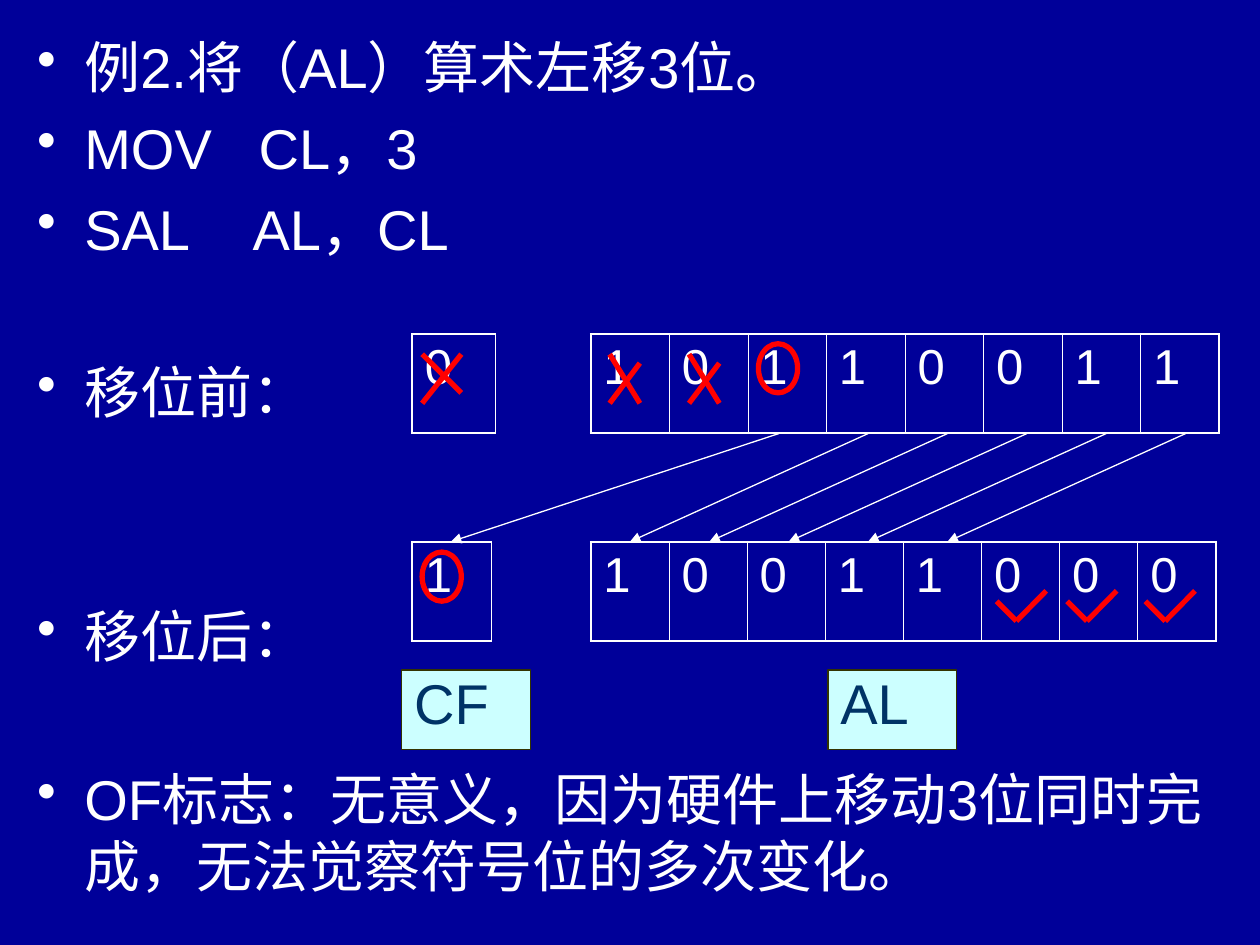
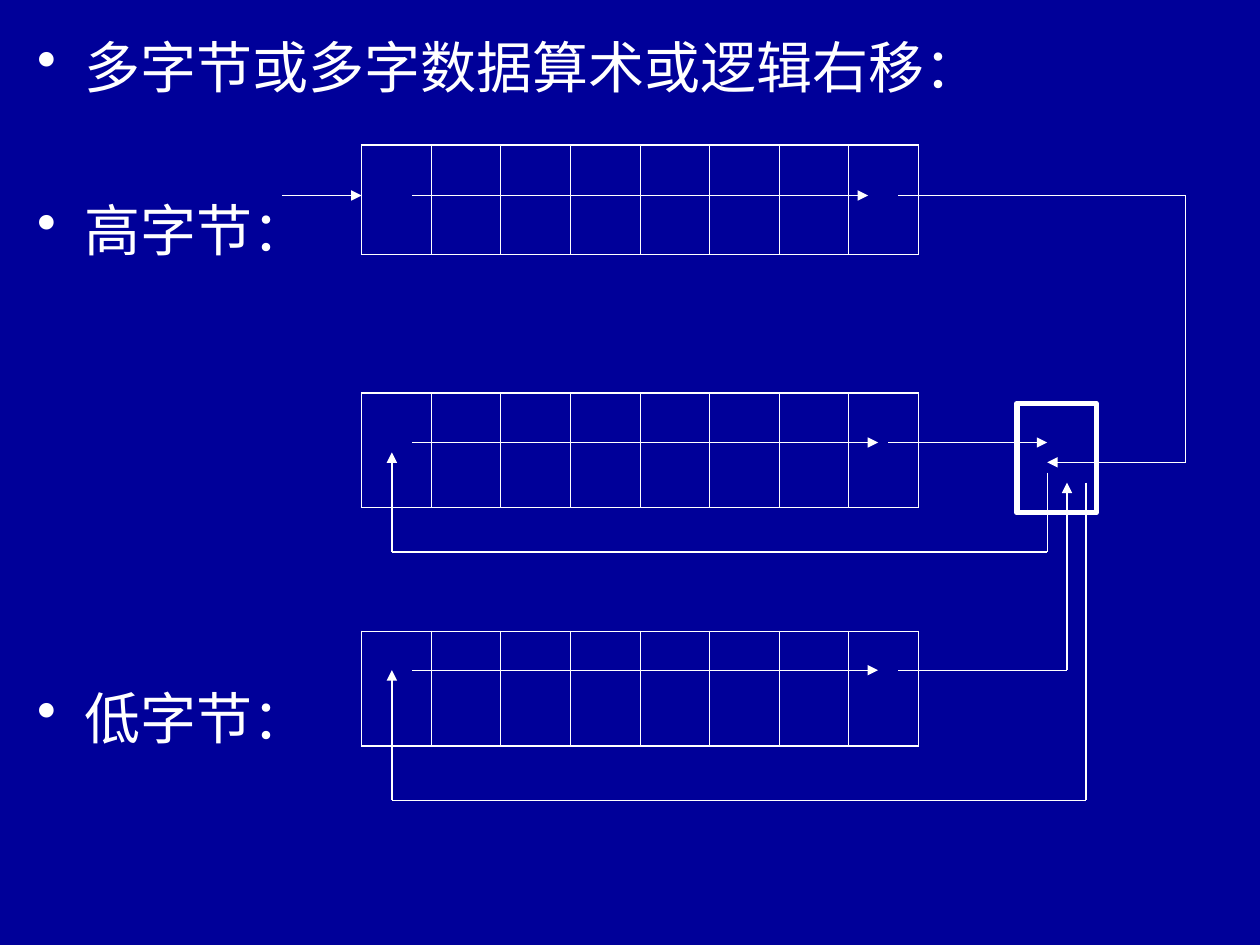
import pptx
import pptx.dml.color
import pptx.enum.shapes
import pptx.enum.text
import pptx.oxml
import pptx.oxml.ns
import pptx.util

Cm = pptx.util.Cm
Pt = pptx.util.Pt
RGBColor = pptx.dml.color.RGBColor
SHAPE = pptx.enum.shapes.MSO_SHAPE

NAVY = RGBColor(0x00, 0x00, 0x99)
WHITE = RGBColor(0xFF, 0xFF, 0xFF)
RED = RGBColor(0xFF, 0x00, 0x00)
PALE_CYAN = RGBColor(0xCC, 0xFF, 0xFF)
OLIVE = RGBColor(0x33, 0x33, 0x00)
TEAL = RGBColor(0x00, 0x33, 0x66)

BODY = {"size": Pt(32), "name": "Arial"}
BIT = {"size": Pt(28), "name": "Arial"}
THIN, EDGE = 0.45, 1.08
BLANK_LINE = 46.5
SPACE_WIDTH = 8.9


def xml(tag, inner="", **attrs):
    """Return a drawing element with the given attributes and inner markup."""
    text = "".join(f' {name}="{value}"' for name, value in attrs.items())
    ns = pptx.oxml.ns.nsdecls("a")
    return pptx.oxml.parse_xml(f"<a:{tag} {ns}{text}>{inner}</a:{tag}>")


class Deck:
    """Hold the shared style and the slide being drawn."""

    def __init__(self):
        """Start an empty 4:3 presentation."""
        self.prs = pptx.Presentation()
        self.prs.slide_width, self.prs.slide_height = Cm(25.4), Cm(19.05)
        self.s = None

    def slide(self):
        """Add a blank slide with the navy background."""
        self.s = self.prs.slides.add_slide(self.prs.slide_layouts[6])
        fill = self.s.background.fill
        fill.solid()
        fill.fore_color.rgb = NAVY

    def run(self, p, text, style, color=WHITE):
        """Add a run in the given style and colour."""
        r = p.add_run()
        r.text = text
        for name, value in style.items():
            setattr(r.font, name, value)
        r.font.color.rgb = color
        return r

    def bullets(self, items):
        """Write bullets of text, blank lines above and width of the first space."""
        tf = self.s.shapes.add_textbox(Cm(0.5), Cm(0.53), Cm(24.41), Cm(18)).text_frame
        tf.word_wrap = True
        for i, (text, lines_above, spaces) in enumerate(items):
            p = tf.paragraphs[0] if i == 0 else tf.add_paragraph()
            p.space_before = Pt(8 + BLANK_LINE * lines_above)
            pPr = p._p.get_or_add_pPr()
            pPr.set("marL", str(Cm(0.95)))
            pPr.set("indent", str(-Cm(0.95)))
            pPr.append(xml("buClr", f'<a:srgbClr val="{WHITE}"/>'))
            pPr.append(xml("buChar", char="•"))
            if spaces:
                first, gap, text = text.partition(" ")
                self.run(p, first, BODY)
                r = self.run(p, gap, BODY)
                r.font._element.set("spc", str(round((spaces - 1) * SPACE_WIDTH * 100)))
            self.run(p, text, BODY)

    def register(self, x, y, w, h, bits):
        """Draw a one-row table with one cell for each bit."""
        count = len(bits)
        table = self.s.shapes.add_table(1, count, Cm(x), Cm(y), Cm(w), Cm(h)).table
        table.first_row = table.horz_banding = False
        for i, bit in enumerate(bits):
            table.columns[i].width = Cm(w / count)
            cell = table.cell(0, i)
            cell.fill.background()
            widths = {"lnL": EDGE if i == 0 else THIN,
                      "lnR": EDGE if i == count - 1 else THIN,
                      "lnT": EDGE, "lnB": EDGE}
            tcPr = cell._tc.get_or_add_tcPr()
            for k, (side, width) in enumerate(widths.items()):
                color = f'<a:solidFill><a:srgbClr val="{WHITE}"/></a:solidFill>'
                tcPr.insert(k, xml(side, color, w=Pt(width)))
            if bit.strip():
                p = cell.text_frame.paragraphs[0]
                p.space_before = Pt(7)
                self.run(p, bit, BIT)

    def shape(self, kind, x, y, w, h, line, width, fill=None):
        """Draw a preset shape, hollow unless a fill is given."""
        sp = self.s.shapes.add_shape(kind, Cm(x), Cm(y), Cm(w), Cm(h))
        sp.shadow.inherit = False
        sp.line.color.rgb, sp.line.width = line, Pt(width)
        if fill is None:
            sp.fill.background()
        else:
            sp.fill.solid()
            sp.fill.fore_color.rgb = fill
        return sp

    def label(self, text, x, y):
        """Draw a register name on a pale box."""
        sp = self.shape(SHAPE.RECTANGLE, x, y, 2.59, 1.6, OLIVE, 0.75, PALE_CYAN)
        tf = sp.text_frame
        tf.vertical_anchor = pptx.enum.text.MSO_ANCHOR.TOP
        p = tf.paragraphs[0]
        p.alignment, p.line_spacing = pptx.enum.text.PP_ALIGN.LEFT, 0.9
        self.run(p, text, BODY, TEAL)

    def route(self, *points, color=WHITE, width=0.75, arrow=True):
        """Join points with straight lines, with an arrowhead on the last one."""
        kind = pptx.enum.shapes.MSO_CONNECTOR.STRAIGHT
        for start, end in zip(points, points[1:]):
            c = self.s.shapes.add_connector(kind, *map(Cm, start + end))
            c.line.color.rgb, c.line.width = color, Pt(width)
            c._element.spPr.append(xml("effectLst"))
        if arrow:
            c.line._get_or_add_ln().append(xml("tailEnd", type="triangle"))

    def mark(self, *points):
        """Draw a red pen stroke through the points."""
        self.route(*points, color=RED, width=3, arrow=False)

    def ring(self, x, y):
        """Circle a bit in red."""
        self.shape(SHAPE.OVAL, x, y, 0.79, 0.99, RED, 3)


def left_shift(d):
    """Show the arithmetic left shift of AL by three bits."""
    d.slide()
    d.bullets([
        ("例2.将（AL）算术左移3位。", 0, 0),
        ("MOV CL，3", 0, 3),
        ("SAL AL，CL", 0, 4),
        ("移位前：", 1, 0),
        ("移位后：", 2, 0),
        ("OF标志：无意义，因为硬件上移动3位同时完成，无法觉察符号位的多次变化。", 1, 0),
    ])
    before, after, bit = 6.73, 10.92, 1.6
    d.register(11.91, before, 12.67, 2, "10110011")
    d.register(8.31, before, 1.68, 2, "0")
    d.register(8.31, after, 1.6, 2, "1")
    d.register(11.91, after, 12.6, 2, "10011000")
    d.label("CF", 8.1, 13.51)
    d.label("AL", 16.69, 13.51)
    d.route((15.7, 8.74), (9.09, after))
    for i in range(5):
        d.route((17.5 + bit * i, 8.74), (12.7 + bit * i, after))
    for x in (12.29, 13.89):
        d.mark((x, 7.14), (x + 0.61, 8.13))
        d.mark((x + 0.61, 7.32), (x, 8.13))
    d.mark((8.51, 7.14), (9.3, 7.92))
    d.mark((9.3, 7.14), (8.51, 8.13))
    for x in (20.09, 21.51, 23.09):
        d.mark((x, 12.12), (x + 0.4, 12.52), (x + 1, 11.91))
    d.ring(15.29, 6.93)
    d.ring(8.51, 11.13)


def right_shift(d):
    """Show the right shift of several bytes through the carry."""
    d.slide()
    for y, h in ((2.92, 2.21), (7.92, 2.31), (12.73, 2.31)):
        d.register(7.29, y, 11.23, h, " " * 8)
    d.bullets([
        ("多字节或多字数据算术或逻辑右移：", 0, 0),
        ("高字节：", 1, 0),
        ("低字节：", 5, 0),
    ])
    d.shape(SHAPE.RECTANGLE, 20.5, 8.13, 1.6, 2.21, WHITE, 3)
    high, middle, low = 3.94, 8.92, 13.51
    d.route((5.69, high), (7.29, high))
    for y, end in ((high, 17.5), (middle, 17.7), (low, 17.7)):
        d.route((8.31, y), (end, y))
    d.route((18.11, high), (23.9, high), (23.9, 9.32), (21.11, 9.32))
    d.route((21.11, 9.53), (21.11, 11.13), (7.9, 11.13), (7.9, 9.12))
    d.route((17.91, middle), (21.11, middle))
    d.route((21.89, 9.73), (21.89, 16.13), (7.9, 16.13), (7.9, low))
    d.route((18.11, low), (21.51, low), (21.51, 9.73))


def main():
    """Build both slides and save them."""
    d = Deck()
    left_shift(d)
    right_shift(d)
    d.prs.save("out.pptx")


if __name__ == "__main__":
    main()
